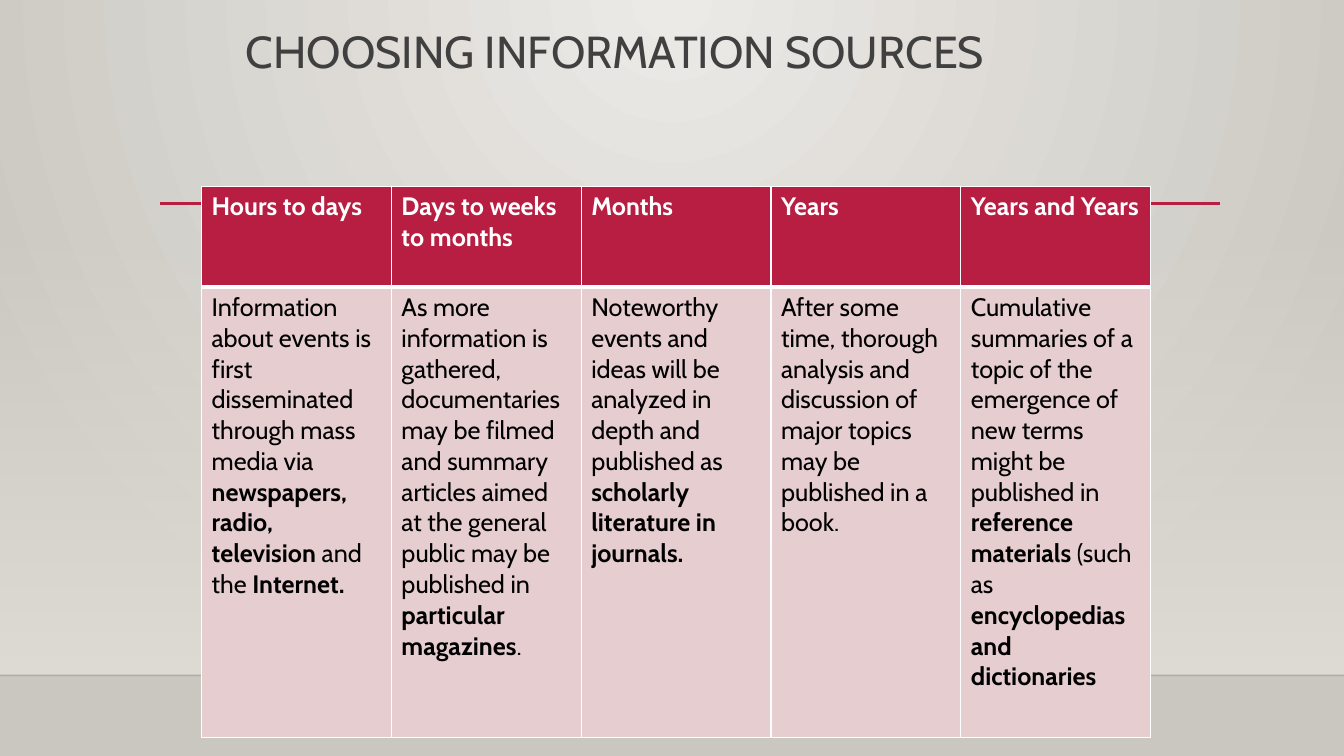
from dataclasses import dataclass

from lxml import etree
from pptx import Presentation
from pptx.dml.color import RGBColor
from pptx.enum import shapes, text
from pptx.oxml import parse_xml
from pptx.oxml.ns import nsdecls, qn
from pptx.util import Pt

CRIMSON = RGBColor(0xB7, 0x1E, 0x42)
PINK = RGBColor(0xE6, 0xCD, 0xCF)
WHITE = RGBColor(0xFF, 0xFF, 0xFF)
BLACK = RGBColor(0x00, 0x00, 0x00)
CHARCOAL = RGBColor(0x40, 0x40, 0x40)
NEAR_BLACK = RGBColor(0x00, 0x00, 0x01)
PALE_GREY = RGBColor(0xEC, 0xEA, 0xE7)
WARM_GREY = RGBColor(0xCA, 0xC7, 0xC1)
WALL_GREY = RGBColor(0xDF, 0xDB, 0xD5)

SLIDE_W, SLIDE_H = 960, 540
FLOOR_Y = 482.4
TITLE_FORMAT = {"name": "Cabin", "size": Pt(32)}
CELL_FORMAT = {"name": "Cabin", "size": Pt(18)}


@dataclass
class Stage:
    heading: str
    body: list[tuple[str, bool]]  # text, bold


@dataclass
class Rule:
    x1: float
    x2: float
    y: float
    color: RGBColor
    width: float
    opacity: int = 100


RULES = [
    Rule(0, SLIDE_W, FLOOR_Y, NEAR_BLACK, 1, 20),
    Rule(114.5, 871.2, 145.4, CRIMSON, 2.5),
]

STAGES = [
    Stage("Hours to days", [
        ("Information about events is first disseminated through mass media via ", False),
        ("newspapers, radio, television ", True),
        ("and the ", False),
        ("Internet.", True)]),
    Stage("Days to weeks to months", [
        ("As more information is gathered, documentaries may be filmed and summary "
         "articles aimed at the general public may be published in ", False),
        ("particular magazines", True),
        (".", False)]),
    Stage("Months", [
        ("Noteworthy events and ideas will be analyzed in depth and published as ", False),
        ("scholarly literature in journals.", True)]),
    Stage("Years", [
        ("After some time, thorough analysis and discussion of major topics may be "
         "published in a book.", False)]),
    Stage("Years and Years", [
        ("Cumulative summaries of a topic of the emergence of new terms might be "
         "published in ", False),
        ("reference materials ", True),
        ("(such as ", False),
        ("encyclopedias and dictionaries", True)]),
]


def set_gradient(fill, element, stops: list[tuple[RGBColor, int]], shade: str) -> None:
    """Fill with a gradient of evenly spaced (colour, opacity) stops."""
    fill.gradient()
    old = next(element.iter(qn("a:gradFill")))
    gs = "".join(
        f'<a:gs pos="{i * 100000 // (len(stops) - 1)}"><a:srgbClr val="{color}">'
        f'<a:alpha val="{opacity * 1000}"/></a:srgbClr></a:gs>'
        for i, (color, opacity) in enumerate(stops))
    old.getparent().replace(old, parse_xml(
        f'<a:gradFill {nsdecls("a")} rotWithShape="1"><a:gsLst>{gs}</a:gsLst>{shade}</a:gradFill>'))


def add_rule(s, rule: Rule) -> None:
    sp = s.shapes.add_connector(shapes.MSO_CONNECTOR.STRAIGHT, Pt(rule.x1), Pt(rule.y),
                                Pt(rule.x2), Pt(rule.y))
    sp.line.color.rgb = rule.color
    sp.line.width = Pt(rule.width)
    if rule.opacity < 100:
        color = next(sp.element.iter(qn("a:srgbClr")))
        etree.SubElement(color, qn("a:alpha"), val=str(rule.opacity * 1000))
    etree.SubElement(sp.element.spPr, qn("a:effectLst"))


def add_run(p, words: str, style: dict, color: RGBColor, bold: bool = False) -> None:
    r = p.add_run()
    r.text = words
    for key, value in {**style, "bold": bold}.items():
        setattr(r.font, key, value)
    r.font.color.rgb = color


def fill_cell(cell, runs: list[tuple[str, bool]], color: RGBColor, fill: RGBColor,
              top: float, bottom: float) -> None:
    cell.fill.solid()
    cell.fill.fore_color.rgb = fill
    tcPr = cell._tc.get_or_add_tcPr()
    for i, (side, width) in enumerate({"L": 1, "R": 1, "T": top, "B": bottom}.items()):
        tcPr.insert(i, parse_xml(
            f'<a:ln{side} {nsdecls("a")} w="{Pt(width)}"><a:solidFill>'
            f'<a:srgbClr val="{WHITE}"/></a:solidFill></a:ln{side}>'))
    for words, bold in runs:
        add_run(cell.text_frame.paragraphs[0], words, CELL_FORMAT, color, bold)


def main() -> None:
    prs = Presentation()
    prs.slide_width, prs.slide_height = Pt(SLIDE_W), Pt(SLIDE_H)
    s = prs.slides.add_slide(prs.slide_layouts[6])

    # Backdrop: radial glow from the top, wall fading in above the floor
    set_gradient(s.background.fill, s.element, [(PALE_GREY, 100), (WARM_GREY, 100)],
                 '<a:path path="circle"><a:fillToRect l="43000" r="43000" b="100000"/></a:path>')
    wall = s.shapes.add_shape(shapes.MSO_SHAPE.RECTANGLE, 0, Pt(159.1), Pt(SLIDE_W),
                              Pt(FLOOR_Y - 159.1))
    wall.shadow.inherit = False
    wall.line.fill.background()
    set_gradient(wall.fill, wall.element, [(WALL_GREY, 0), (WALL_GREY, 100)],
                 '<a:lin ang="5400000" scaled="0"/>')
    for rule in RULES:
        add_rule(s, rule)

    # Title
    tf = s.shapes.add_textbox(Pt(168.5), Pt(18), Pt(642.2), Pt(77.8)).text_frame
    tf.word_wrap = True
    tf.vertical_anchor = text.MSO_ANCHOR.TOP
    p = tf.paragraphs[0]
    p.line_spacing = 0.9
    add_run(p, "CHOOSING INFORMATION SOURCES", TITLE_FORMAT, CHARCOAL)

    # Table of publication stages
    table = s.shapes.add_table(2, len(STAGES), Pt(144), Pt(133.2), Pt(678), Pt(393.8)).table
    for row, height in zip(table.rows, (72, 321.8)):
        row.height = Pt(height)
    for i, stage in enumerate(STAGES):
        table.columns[i].width = Pt(678 / len(STAGES))
        fill_cell(table.cell(0, i), [(stage.heading, True)], WHITE, CRIMSON, 1, 3)
        fill_cell(table.cell(1, i), stage.body, BLACK, PINK, 3, 1)

    prs.save("out.pptx")


if __name__ == "__main__":
    main()
